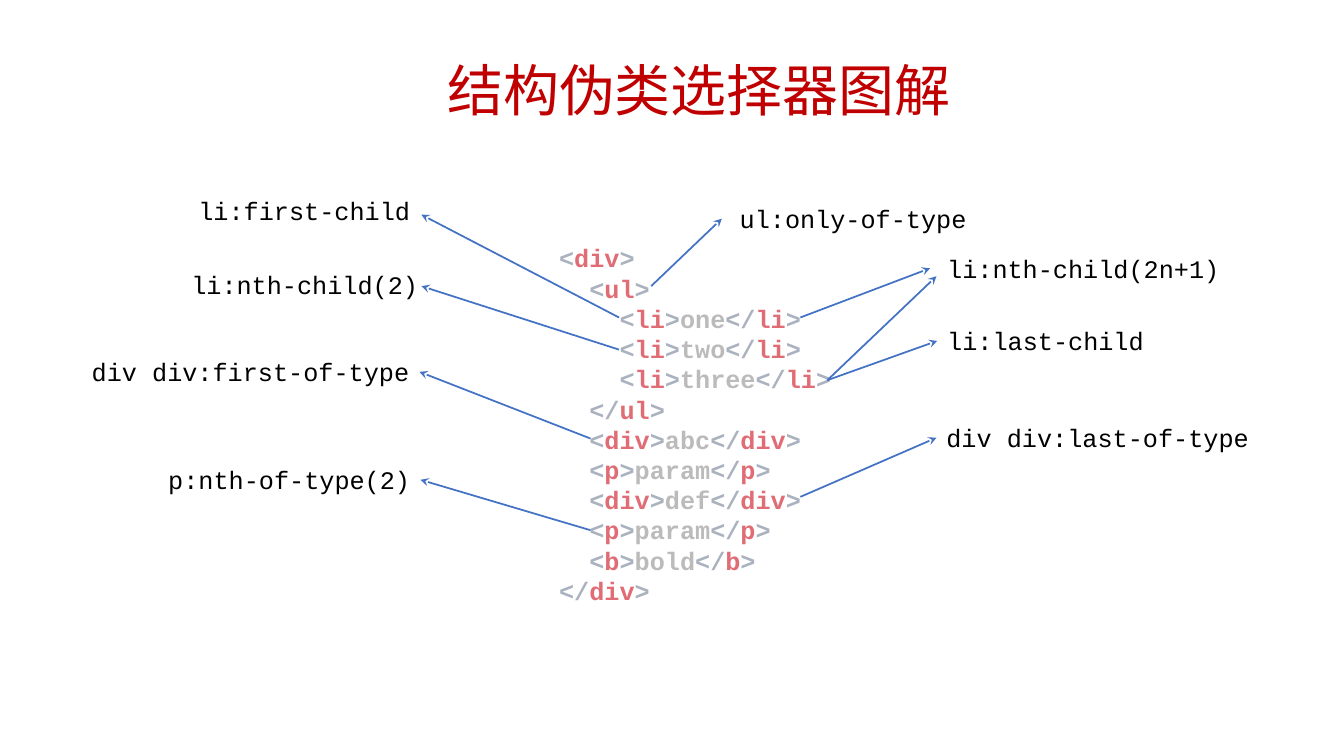
from lxml import etree
from pptx import Presentation
from pptx import util as u
from pptx.dml.color import RGBColor
from pptx.enum import shapes, text
from pptx.oxml import ns

RED = RGBColor(0xC0, 0x00, 0x00)
BLACK = RGBColor(0x00, 0x00, 0x00)
BLUE = RGBColor(0x44, 0x72, 0xC4)
BRACKET = RGBColor(0xAB, 0xB2, 0xBF)
TAG = RGBColor(0xE0, 0x6C, 0x75)
CONTENT = RGBColor(0xBB, 0xBB, 0xBB)

MONO, CJK = "Courier New", "Noto Sans CJK SC"
CHAR_W = 0.381  # width in cm of one 18 pt monospaced character
LABEL_H = 1.02
LEFT_SIDE, RIGHT_SIDE = 1, 3

# nesting depth, tag, content (None for a lone opening or closing tag)
CODE = [
    (0, "div", None),
    (1, "ul", None),
    (2, "li", "one"),
    (2, "li", "two"),
    (2, "li", "three"),
    (1, "/ul", None),
    (1, "div", "abc"),
    (1, "p", "param"),
    (1, "div", "def"),
    (1, "p", "param"),
    (1, "b", "bold"),
    (0, "/div", None),
]

# selector, left, top, side facing the code, arrows as (start, tip);
# a tip of None joins the arrow to the middle of that side
SELECTORS = [
    ("li:first-child", 4.75, 4.8, RIGHT_SIDE, [((15.6, 8), (10.62, 5.41))]),
    ("li:nth-child(2)", 4.57, 6.65, RIGHT_SIDE, [((15.6, 8.81), (10.62, 7.21))]),
    ("div div:first-of-type", 2.06, 8.86, RIGHT_SIDE, [((14.88, 11.05), None)]),
    ("p:nth-of-type(2)", 3.99, 11.58, RIGHT_SIDE, [((14.88, 13.36), None)]),
    ("li:last-child", 23.62, 8.08, LEFT_SIDE, [((20.85, 9.58), None)]),
    ("li:nth-child(2n+1)", 23.62, 6.25, LEFT_SIDE,
     [((20.17, 8), (23.44, 6.76)), ((20.85, 9.58), (23.6, 6.96))]),
    ("div div:last-of-type", 23.6, 10.52, LEFT_SIDE, [((20.17, 12.52), None)]),
    ("ul:only-of-type", 18.39, 5, LEFT_SIDE, [((16.41, 7.21), (18.19, 5.51))]),
]


def add_text_box(parent, left, top, width, height, wrap=False):
    sp = parent.shapes.add_textbox(u.Cm(left), u.Cm(top), u.Cm(width), u.Cm(height))
    sp.text_frame.word_wrap = wrap
    sp.text_frame.auto_size = text.MSO_AUTO_SIZE.SHAPE_TO_FIT_TEXT
    return sp


def add_run(p, words, color, size=18, font=MONO, bold=False):
    r = p.add_run()
    r.text = words
    r.font.size = u.Pt(size)
    r.font.name = font
    r.font.bold = bold
    r.font.color.rgb = color
    ea = etree.SubElement(r.font._element, ns.qn("a:ea"))
    ea.set("typeface", font)


def add_title(s):
    p = add_text_box(s, 11.02, 0.43, 13.34, 2.82).text_frame.paragraphs[0]
    p.line_spacing = 1.5
    add_run(p, "结构伪类选择器图解", RED, 40, CJK)


def add_tag(p, tag):
    """Write a tag; a leading slash belongs to the grey opening bracket."""
    add_run(p, "</" if tag.startswith("/") else "<", BRACKET, bold=True)
    add_run(p, tag.lstrip("/"), TAG, bold=True)
    add_run(p, ">", BRACKET, bold=True)


def add_code(s):
    tf = add_text_box(s, 13.84, 5.99, 7.72, 9.5, wrap=True).text_frame
    for i, (depth, tag, content) in enumerate(CODE):
        p = tf.add_paragraph() if i else tf.paragraphs[0]
        p._p.get_or_add_pPr().set("marL", str(u.Cm(2 * CHAR_W * depth)))
        add_tag(p, tag)
        if content:
            add_run(p, content, CONTENT, bold=True)
            add_tag(p, "/" + tag)


def add_arrow(parent, start, tip):
    x1, y1, x2, y2 = (u.Cm(v) for v in (*start, *tip))
    cxn = parent.shapes.add_connector(shapes.MSO_CONNECTOR.STRAIGHT, x1, y1, x2, y2)
    cxn.line.color.rgb = BLUE
    cxn.line.width = u.Pt(1.25)
    tail = etree.SubElement(cxn.line._get_or_add_ln(), ns.qn("a:tailEnd"))
    tail.set("type", "stealth")
    etree.SubElement(cxn._element.spPr, ns.qn("a:effectLst"))
    return cxn


def add_selector(s, selector, left, top, side, arrows):
    """Group a selector label with the arrows that lead to it from the code."""
    group = s.shapes.add_group_shape()
    width = CHAR_W * len(selector) + 0.51
    label = add_text_box(group, left, top, width, LABEL_H)
    add_run(label.text_frame.paragraphs[0], selector, BLACK)
    middle = (left + width if side == RIGHT_SIDE else left, top + LABEL_H / 2)
    for start, tip in arrows:
        cxn = add_arrow(group, start, tip or middle)
        if tip is None:
            cxn.end_connect(label, side)


def main():
    prs = Presentation()
    prs.slide_width, prs.slide_height = u.Cm(33.87), u.Cm(19.05)
    s = prs.slides.add_slide(prs.slide_layouts[6])
    add_title(s)
    add_code(s)
    for selector in SELECTORS:
        add_selector(s, *selector)
    prs.save("out.pptx")


if __name__ == "__main__":
    main()
